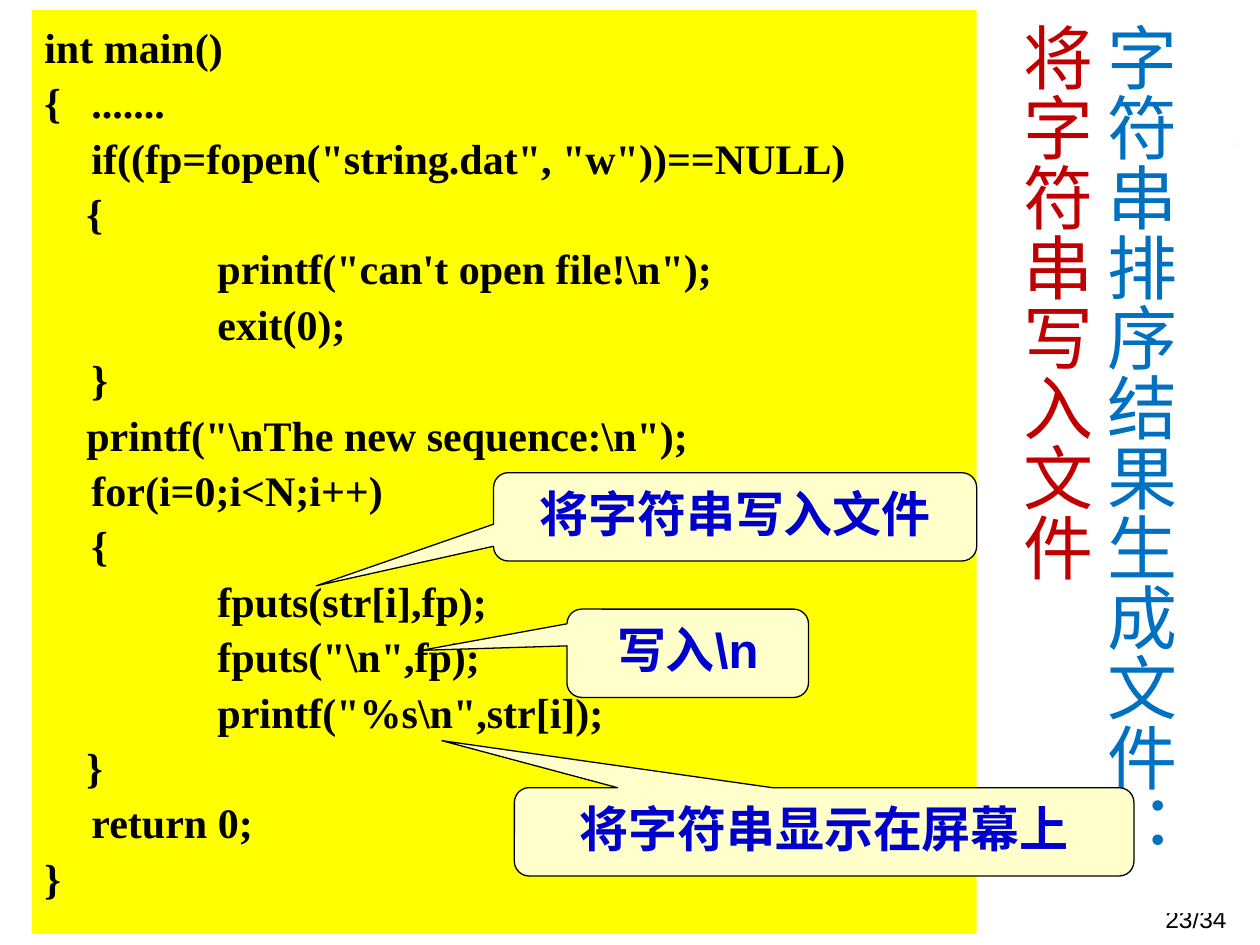
"""Build a slide of C code that writes sorted strings to a file, with callouts."""
import pptx
import pptx.dml.color
import pptx.enum.shapes
import pptx.enum.text
import pptx.oxml
import pptx.oxml.ns
import pptx.util
from pptx.util import Cm

COLOURS = {
    "bar": "333399", "white": "FFFFFF", "black": "000000", "heading": "0070C0",
    "topic": "C00000", "code": "FFFF00", "callout": "FFFFCC", "note": "0000CC",
}
SHAPES = pptx.enum.shapes.MSO_SHAPE
ALIGN = pptx.enum.text.PP_ALIGN
ANCHOR = pptx.enum.text.MSO_ANCHOR


def colour(name):
    return pptx.dml.color.RGBColor.from_string(COLOURS[name])


def add_span(para, text, font, size, shade, bold=False):
    span = para.add_run()
    span.text = text
    span.font.name = font
    span.font.size = pptx.util.Pt(size)
    span.font.bold = bold
    span.font.color.rgb = colour(shade)


deck = pptx.Presentation()
deck.slide_width, deck.slide_height = Cm(25.4), Cm(19.05)
page = deck.slides.add_slide(deck.slide_layouts[1])
title, body = page.placeholders[0], page.placeholders[1]

bar = page.shapes.add_shape(SHAPES.RECTANGLE, Cm(1.04), Cm(2.82), Cm(24.16), Cm(0.15))
bar.shadow.inherit = False
bar.line.fill.background()
bar.fill.gradient()
bar.fill.gradient_angle = 0
for stop, name, position in zip(bar.fill.gradient_stops, ("bar", "white"), (0, 1)):
    stop.color.rgb = colour(name)
    stop.position = position

number = page.shapes.add_textbox(Cm(20.1), Cm(18.21), Cm(4.88), Cm(0.46))
number.text_frame.word_wrap = True
para = number.text_frame.paragraphs[0]
para.alignment = ALIGN.RIGHT
para.line_spacing = 0.8
add_span(para, "23/34", "Arial", 14, "black")

for box, frame, fill, anchor in (
    (title, (19.48, 0.2, 5.31, 18.21), "white", ANCHOR.MIDDLE),
    (body, (0.64, 0.2, 19.05, 18.62), "code", ANCHOR.TOP),
):
    box.left, box.top, box.width, box.height = map(Cm, frame)
    box.fill.solid()
    box.fill.fore_color.rgb = colour(fill)
    box.text_frame.auto_size = pptx.enum.text.MSO_AUTO_SIZE.NONE
    box.text_frame.vertical_anchor = anchor
    box.element.getparent().append(box.element)

title.text_frame._txBody.bodyPr.set("vert", "eaVert")
title.text_frame.margin_top = Cm(0.27)
para = title.text_frame.paragraphs[0]
para.alignment = ALIGN.LEFT
add_span(para, "字符串排序结果生成文件：", "Times New Roman", 40, "heading")
para.add_line_break()
add_span(para, "将字符串写入文件", "Times New Roman", 40, "topic")

code_lines = [
    "int main()",
    "{ \t.......",
    '\tif((fp=fopen("string.dat", "w"))==NULL)',
    "    {",
    '\t\tprintf("can\'t open file!\\n");',
    "\t\texit(0);",
    "\t}",
    '    printf("\\nThe new sequence:\\n");',
    "\tfor(i=0;i<N;i++)",
    "\t{",
    "\t\tfputs(str[i],fp);",
    '\t\tfputs("\\n",fp);',
    '\t\tprintf("%s\\n",str[i]);',
    "    }",
    "\treturn 0;",
    "}",
]
for index, line in enumerate(code_lines):
    para = body.text_frame.add_paragraph() if index else body.text_frame.paragraphs[0]
    para.line_spacing = 1.1
    para.space_before = pptx.util.Pt(0)
    properties = para._p.get_or_add_pPr()
    properties.set("marL", str(Cm(0.95)))
    properties.set("indent", str(-Cm(0.95)))
    properties.set("defTabSz", str(Cm(2.54)))
    properties.append(pptx.oxml.parse_xml(f"<a:buNone {pptx.oxml.ns.nsdecls('a')}/>"))
    add_span(para, line, "Times New Roman", 24, "black", bold=True)

callouts = [
    ("将字符串写入文件", 9.95, 9.53, 9.74, (-0.867, 0.781)),
    ("写入\\n", 11.43, 12.28, 4.87, (-1.103, -0.033)),
    ("将字符串显示在屏幕上", 10.37, 15.88, 12.49, (-0.617, -1.033)),
]
for text, left, top, width, tip in callouts:
    callout = page.shapes.add_shape(
        SHAPES.ROUNDED_RECTANGULAR_CALLOUT, Cm(left), Cm(top), Cm(width), Cm(1.78))
    callout.shadow.inherit = False
    callout.adjustments[0], callout.adjustments[1] = tip
    callout.fill.solid()
    callout.fill.fore_color.rgb = colour("callout")
    callout.line.color.rgb = colour("black")
    callout.line.width = pptx.util.Pt(0.75)
    callout.text_frame.vertical_anchor = ANCHOR.TOP
    para = callout.text_frame.paragraphs[0]
    para.alignment = ALIGN.CENTER
    add_span(para, text, "Arial", 28, "note", bold=True)

deck.save("out.pptx")
